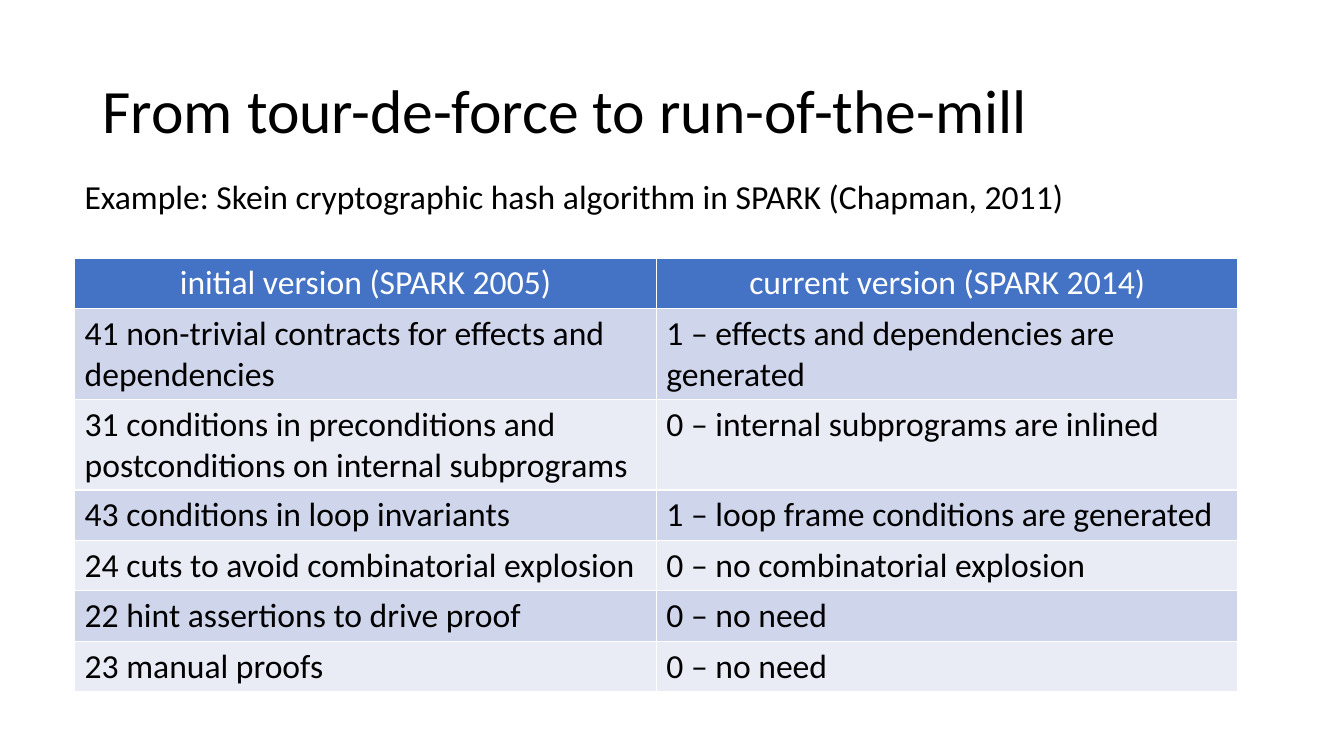
"""Build a slide comparing the proof effort of two versions of Skein in SPARK."""
from dataclasses import dataclass
from typing import Any

import pptx
import pptx.dml.color
import pptx.enum.text
import pptx.util

Inches = pptx.util.Inches
Anchor = pptx.enum.text.MSO_ANCHOR
AutoSize = pptx.enum.text.MSO_AUTO_SIZE
Align = pptx.enum.text.PP_ALIGN

COLOURS = {
    "text": "000000",
    "header_text": "FFFFFF",
    "header": "4472C4",
    "odd_row": "CFD5EA",
    "even_row": "E9EBF5",
}
FONT = "Calibri"
COLUMN_WIDTH = 5.77
LINE_HEIGHT = 0.4
ROW_PADDING = 0.1


@dataclass(frozen=True)
class Caption:
    text: str
    left: float
    top: float
    width: float
    height: float
    size: int
    frame_format: dict[str, Any]
    line_spacing: float = 1.0


@dataclass(frozen=True)
class Comparison:
    initial: str
    current: str
    lines: int = 1


CAPTIONS = [
    Caption("From tour-de-force to run-of-the-mill", 0.92, 0.4, 11.79, 1.45, 44,
            {"vertical_anchor": Anchor.MIDDLE}, 0.9),
    Caption("Example: Skein cryptographic hash algorithm in SPARK (Chapman, 2011)",
            0.74, 1.7, 11.14, 0.5, 24, {"auto_size": AutoSize.SHAPE_TO_FIT_TEXT}),
]

COMPARISONS = [
    Comparison("initial version (SPARK 2005)", "current version (SPARK 2014)"),
    Comparison("41 non-trivial contracts for effects and dependencies",
               "1 – effects and dependencies are generated", 2),
    Comparison("31 conditions in preconditions and postconditions on internal subprograms",
               "0 – internal subprograms are inlined", 2),
    Comparison("43 conditions in loop invariants", "1 – loop frame conditions are generated"),
    Comparison("24 cuts to avoid combinatorial explosion", "0 – no combinatorial explosion"),
    Comparison("22 hint assertions to drive proof", "0 – no need"),
    Comparison("23 manual proofs", "0 – no need"),
]


def colour(name: str) -> pptx.dml.color.RGBColor:
    return pptx.dml.color.RGBColor.from_string(COLOURS[name])


def apply_format(target: Any, values: dict[str, Any]) -> None:
    for attribute, value in values.items():
        setattr(target, attribute, value)


def write(paragraph: Any, text: str, size: int, colour_name: str) -> None:
    run = paragraph.add_run()
    run.text = text
    apply_format(run.font, {"name": FONT, "size": pptx.util.Pt(size), "bold": False})
    run.font.color.rgb = colour(colour_name)


def add_caption(slide: Any, caption: Caption) -> None:
    frame = slide.shapes.add_textbox(
        Inches(caption.left), Inches(caption.top),
        Inches(caption.width), Inches(caption.height)).text_frame
    apply_format(frame, {"word_wrap": True, **caption.frame_format})
    paragraph = frame.paragraphs[0]
    paragraph.line_spacing = caption.line_spacing
    write(paragraph, caption.text, caption.size, "text")


def add_comparisons(slide: Any, comparisons: list[Comparison]) -> None:
    heights = [ROW_PADDING + LINE_HEIGHT * item.lines for item in comparisons]
    table = slide.shapes.add_table(
        len(comparisons), 2, Inches(0.74), Inches(2.56),
        Inches(2 * COLUMN_WIDTH), Inches(sum(heights))).table
    for column in table.columns:
        column.width = Inches(COLUMN_WIDTH)
    for index, (item, height) in enumerate(zip(comparisons, heights)):
        table.rows[index].height = Inches(height)
        is_header = index == 0
        fill = "header" if is_header else "odd_row" if index % 2 else "even_row"
        for cell, text in zip(table.rows[index].cells, (item.initial, item.current)):
            cell.fill.solid()
            cell.fill.fore_color.rgb = colour(fill)
            paragraph = cell.text_frame.paragraphs[0]
            paragraph.alignment = Align.CENTER if is_header else Align.LEFT
            write(paragraph, text, 24, "header_text" if is_header else "text")


def main() -> None:
    presentation = pptx.Presentation()
    apply_format(presentation, {"slide_width": Inches(13.33), "slide_height": Inches(7.5)})
    slide = presentation.slides.add_slide(presentation.slide_layouts[6])
    for caption in CAPTIONS:
        add_caption(slide, caption)
    add_comparisons(slide, COMPARISONS)
    presentation.save("out.pptx")


if __name__ == "__main__":
    main()
